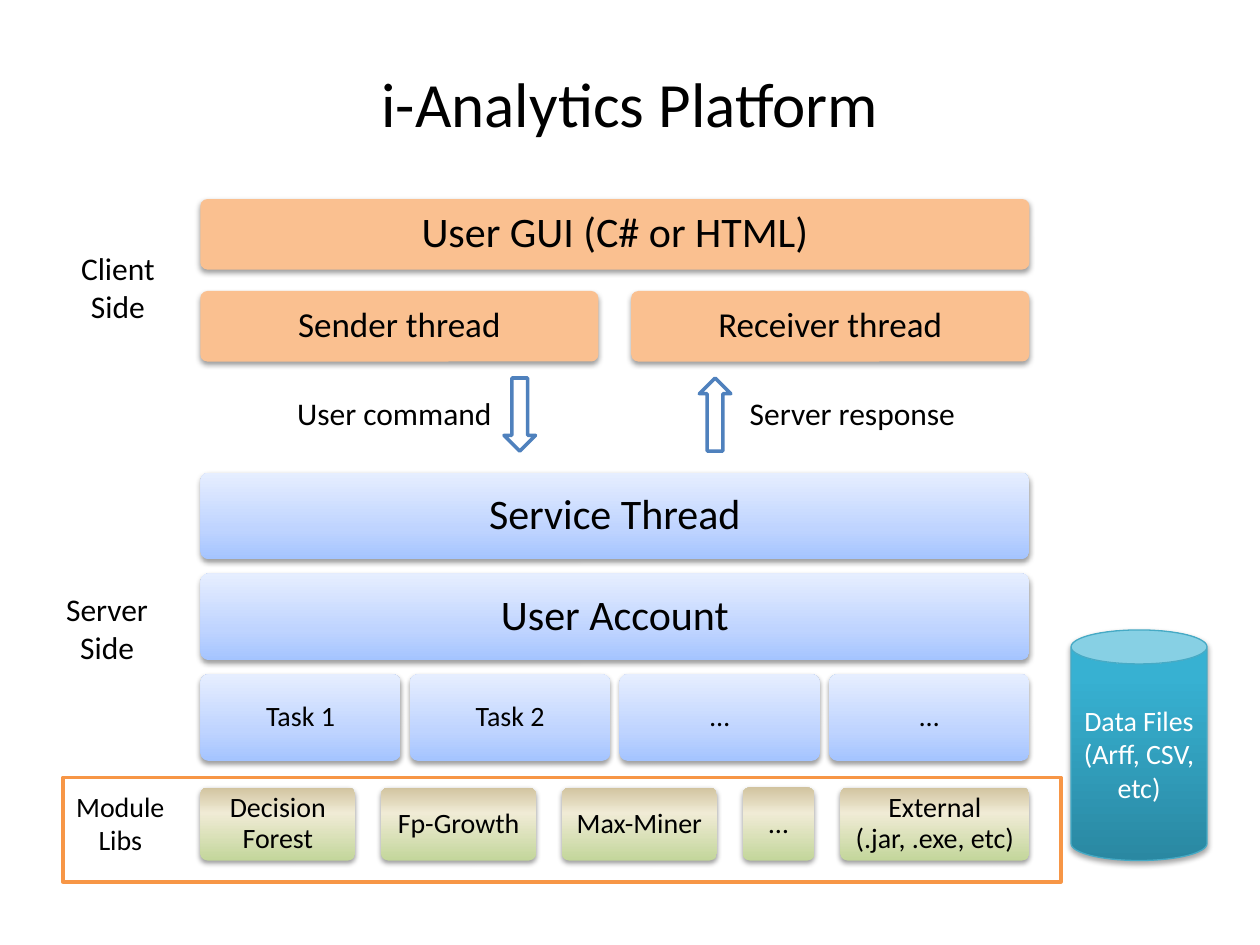
"""Build the layered client and server diagram of the i-Analytics platform."""
from lxml.etree import SubElement
from pptx import Presentation
from pptx.dml.color import RGBColor
from pptx.enum.shapes import MSO_SHAPE
from pptx.enum.text import MSO_ANCHOR, PP_ALIGN
from pptx.oxml.ns import qn
from pptx.util import Inches, Pt

COLORS = {
    "text": "000000", "light": "FFFFFF", "client": "FAC090",
    "arrow": "4F81BD", "frame": "F79646", "can_edge": "46AAC5",
}
GRADIENTS = {
    "server": [(0, "A4C4FF"), (35, "BFD4FF"), (100, "E6EEFF")],
    "module": [(0, "C3D69B"), (65, "F0EBD5"), (100, "D1C39F")],
    "data": [(0, "2A88A2"), (80, "37B1D2"), (100, "34B4D6")],
}
FONT = "Calibri"
STACK_LEFT, STACK_WIDTH = 1.59, 6.58

# style, top, height, text size, inset, [(text, width)]
ROWS = [
    ("client", 1.58, 0.56, 24, 0.1, [("User GUI (C# or HTML)", 6.58)]),
    ("client", 2.31, 0.56, 20, 0.08, [("Sender thread", 3.16), ("Receiver thread", 3.16)]),
    ("server", 3.75, 0.69, 24, 0.1, [("Service Thread", 6.58)]),
    ("server", 4.55, 0.69, 24, 0.1, [("User Account", 6.58)]),
    ("server", 5.35, 0.69, 16, 0.07,
     [("Task 1", 1.59), ("Task 2", 1.59), ("…", 1.59), ("…", 1.59)]),
    ("module", 6.25, 0.58, 16, 0.07,
     [("Decision Forest", 1.23), ("Fp-Growth", 1.23), ("Max-Miner", 1.23),
      ("…", 0.57), ("External (.jar, .exe, etc)", 1.5)]),
]
TITLE = ("i-Analytics Platform", (0.5, 0.3, 9, 1.03), 36)
LABELS = [
    ("Client\nSide", (0.54, 1.92, 0.79, 0.71), 18),
    ("Server\nSide", (0.42, 4.63, 0.86, 0.71), 18),
    ("Module\nLibs", (0.5, 6.21, 0.91, 0.64), 16),
    ("User command", (2.25, 3.08, 1.76, 0.4), 18),
    ("Server response", (5.84, 3.08, 1.85, 0.4), 18),
]
ARROWS = [(MSO_SHAPE.DOWN_ARROW, 4), (MSO_SHAPE.UP_ARROW, 5.55)]
DATA_STORE = ("Data Files\n(Arff, CSV, etc)", (8.5, 5, 1.08, 1.83), 16)
FRAME = (0.5, 6.17, 7.92, 0.83)


def rgb(name):
    return RGBColor.from_string(COLORS[name])


def write(shape, text, size, color="text", wrap=True, spacing=None):
    frame = shape.text_frame
    frame.text = text
    frame.word_wrap = wrap
    frame.vertical_anchor = MSO_ANCHOR.MIDDLE
    for para in frame.paragraphs:
        para.alignment = PP_ALIGN.CENTER
        if spacing:
            para.line_spacing = spacing
        for span in para.runs:
            span.font.name = FONT
            span.font.size = Pt(size)
            span.font.color.rgb = rgb(color)


def add_label(page, text, place, size, wrap=False):
    box = page.shapes.add_textbox(*map(Inches, place))
    write(box, text, size, wrap=wrap)


def add_shape(page, kind, place, fill=None, line=None, width=2):
    shape = page.shapes.add_shape(kind, *map(Inches, place))
    shape.shadow.inherit = False
    if fill in GRADIENTS:
        paint_gradient(shape, GRADIENTS[fill])
    elif fill:
        shape.fill.solid()
        shape.fill.fore_color.rgb = rgb(fill)
    else:
        shape.fill.background()
    if line:
        shape.line.color.rgb = rgb(line)
        shape.line.width = Pt(width)
    else:
        shape.line.fill.background()
    return shape


def paint_gradient(shape, stops):
    shape.fill.gradient()
    shape.fill.gradient_angle = 90
    stop_list = shape._element.spPr.find(".//" + qn("a:gsLst"))
    for stop in list(stop_list):
        stop_list.remove(stop)
    for position, color in stops:
        stop = SubElement(stop_list, qn("a:gs"), pos=str(position * 1000))
        SubElement(stop, qn("a:srgbClr"), val=color)


def cast_shadow(shape, distance, opacity):
    effects = shape._element.spPr.find(qn("a:effectLst"))
    shadow = SubElement(effects, qn("a:outerShdw"), blurRad=str(Pt(3.1)),
                        dist=str(Pt(distance)), dir="5400000", rotWithShape="0")
    color = SubElement(shadow, qn("a:srgbClr"), val=COLORS["text"])
    SubElement(color, qn("a:alpha"), val=str(opacity * 1000))


def add_row(page, style, top, height, size, inset, blocks):
    used = sum(width for _, width in blocks)
    gap = (STACK_WIDTH - used) / max(len(blocks) - 1, 1)
    left = STACK_LEFT
    for text, width in blocks:
        block = add_shape(page, MSO_SHAPE.ROUNDED_RECTANGLE, (left, top, width, height), style)
        block.adjustments[0] = 0.1
        cast_shadow(block, 1.6, 38)
        write(block, text, size, spacing=0.9)
        frame = block.text_frame
        frame.margin_left = frame.margin_right = Inches(inset)
        frame.margin_top = frame.margin_bottom = Inches(inset)
        left += width + gap


def main():
    deck = Presentation()
    deck.slide_width, deck.slide_height = Inches(10), Inches(7.5)
    page = deck.slides.add_slide(deck.slide_layouts[6])

    add_label(page, *TITLE, wrap=True)
    for row in ROWS:
        add_row(page, *row)
    for kind, left in ARROWS:
        add_shape(page, kind, (left, 3, 0.25, 0.58), "light", "arrow")
    for label in LABELS:
        add_label(page, *label)

    text, place, size = DATA_STORE
    store = add_shape(page, MSO_SHAPE.CAN, place, "data", "can_edge", 0.75)
    cast_shadow(store, 1.8, 35)
    write(store, text, size, "light")
    add_shape(page, MSO_SHAPE.RECTANGLE, FRAME, line="frame")

    deck.save("out.pptx")


if __name__ == "__main__":
    main()
